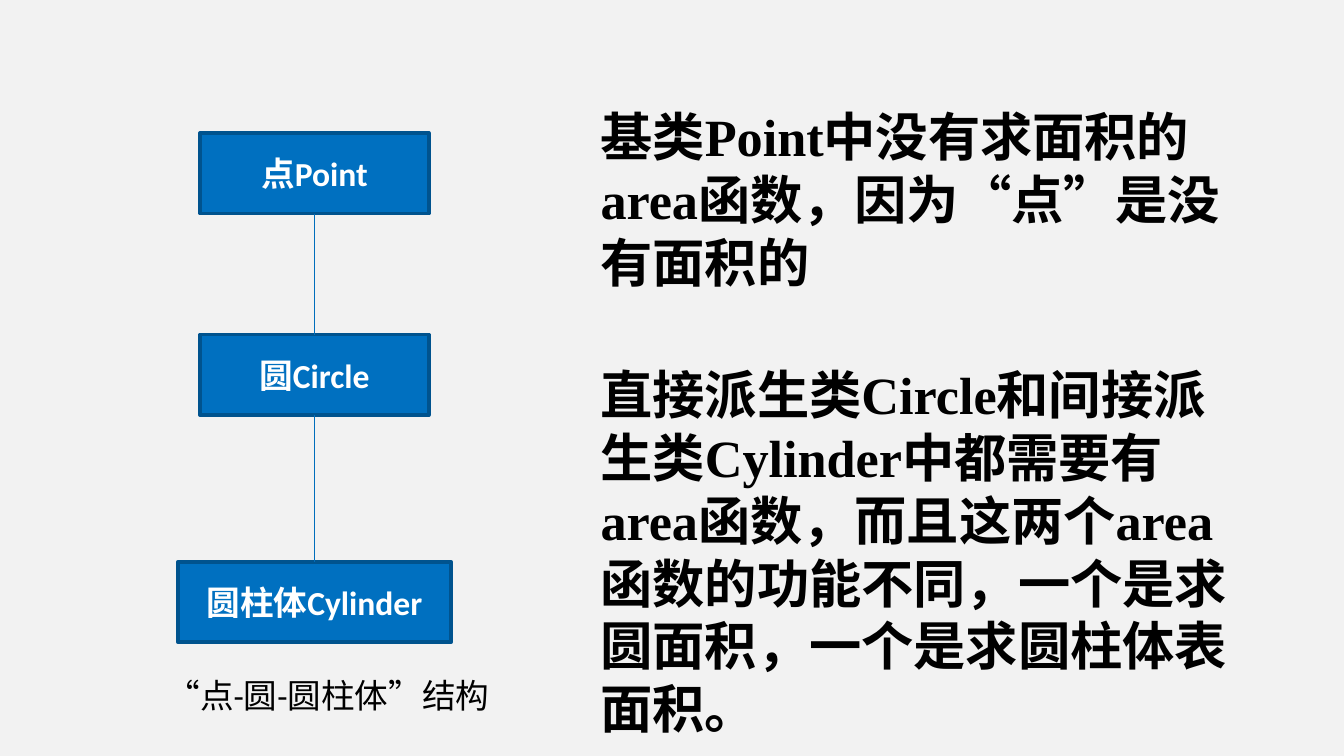
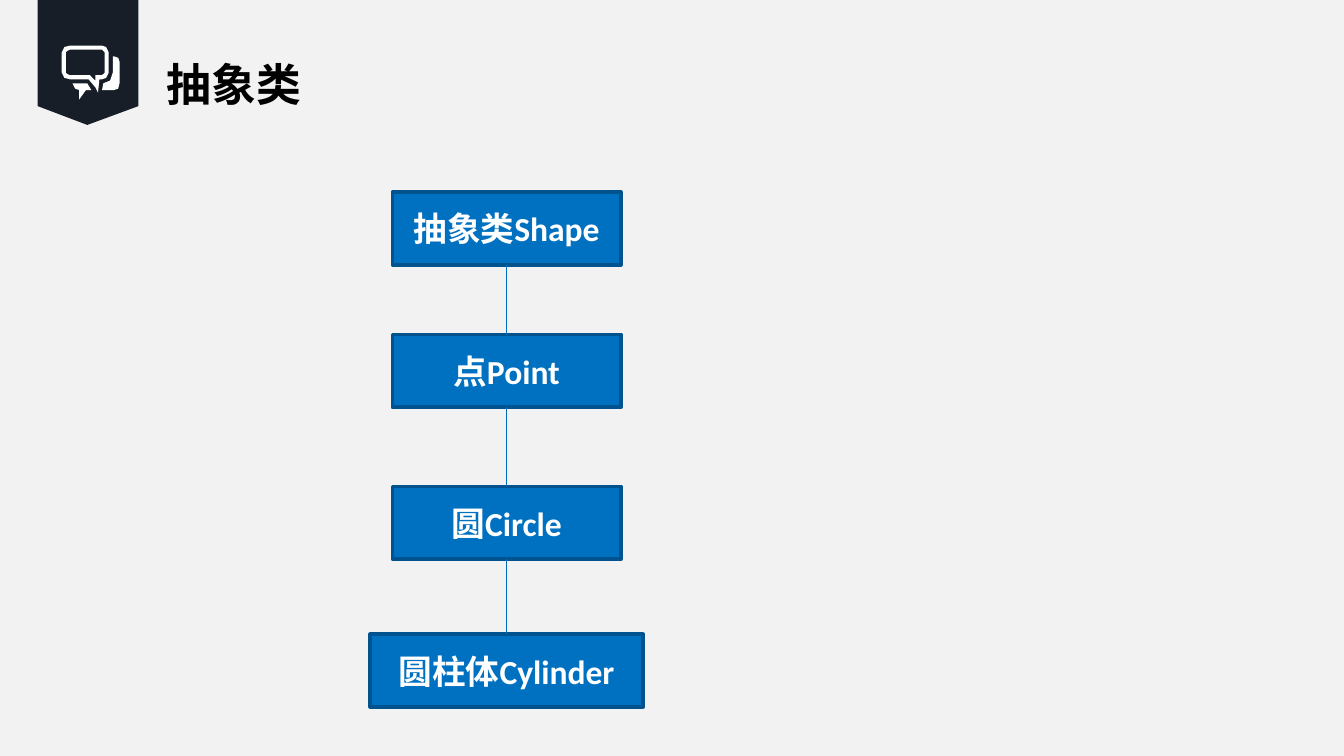
from lxml import etree
from pptx import Presentation
from pptx.dml.color import RGBColor
from pptx.enum.shapes import MSO_CONNECTOR, MSO_SHAPE
from pptx.enum.text import MSO_ANCHOR, MSO_AUTO_SIZE, PP_ALIGN
from pptx.oxml.ns import qn
from pptx.util import Inches, Pt

STRAIGHT = MSO_CONNECTOR.STRAIGHT
RECTANGLE = MSO_SHAPE.RECTANGLE
TOP, MIDDLE = MSO_ANCHOR.TOP, MSO_ANCHOR.MIDDLE
LEFT, CENTER = PP_ALIGN.LEFT, PP_ALIGN.CENTER
NO_AUTOFIT = MSO_AUTO_SIZE.NONE
TOP_SIDE, BOTTOM_SIDE = 0, 2
TITLE_ONLY, BLANK = 5, 6

SLIDE_WIDTH = Inches(10)
SLIDE_HEIGHT = SLIDE_WIDTH * 9 // 16

BACKGROUND = RGBColor(0xF2, 0xF2, 0xF2)
BLUE = RGBColor(0x00, 0x70, 0xC0)
BORDER = RGBColor(0x00, 0x53, 0x8E)
LINK = RGBColor(0x00, 0x6E, 0xBC)
RIBBON = RGBColor(0x17, 0x1E, 0x28)
WHITE = RGBColor(0xFF, 0xFF, 0xFF)
BLACK = RGBColor(0x00, 0x00, 0x00)

CJK_FONT = "Noto Sans CJK SC"
LABEL_FONT = "Calibri"
BODY_FONT = "Times New Roman"
QUOTE_FONT = "Arial"

BOX_WIDTH, WIDE_BOX_WIDTH = 1.7, 2.03
POINT, CIRCLE, CYLINDER = "点Point", "圆Circle", "圆柱体Cylinder"

# Outlines in hundredths of an inch
RIBBON_OUTLINE = [[(28, 0), (103, 0), (103, 79), (65, 93), (28, 79)]]
SPEECH_ICON = [
    [(52, 34), (76, 34), (79, 35), (81, 39), (81, 54), (79, 58), (76, 59),
     (74, 59), (73, 69), (71, 65), (66, 59), (52, 59), (48, 58), (46, 54),
     (46, 39), (48, 35)],
    [(84, 42), (84, 54), (82, 60), (77, 62), (76, 67), (85, 67), (88, 66),
     (89, 62), (89, 46), (88, 43), (85, 42)],
    [(68, 67), (65, 62), (54, 62), (56, 66), (59, 67), (59, 74), (64, 67)],
    [(76, 37), (52, 37), (50, 38), (49, 39), (49, 54), (50, 55), (52, 56),
     (67, 56), (68, 57), (71, 60), (71, 56), (76, 56), (77, 55), (78, 54),
     (78, 39), (77, 38)],
]


def write_text(frame, text, *, size, font=LABEL_FONT, color=BLACK, bold=False,
               align=LEFT, anchor=TOP, wrap=True):
    """Fill a frame with one paragraph; text is a string or (text, font) pairs."""
    frame.auto_size = NO_AUTOFIT
    frame.word_wrap = wrap
    frame.vertical_anchor = anchor
    paragraph = frame.paragraphs[0]
    paragraph.alignment = align
    pieces = [(text, font)] if isinstance(text, str) else text
    for piece, piece_font in pieces:
        run = paragraph.add_run()
        run.text = piece
        run.font.name = piece_font
        run.font.size = Pt(size)
        run.font.bold = bold
        run.font.color.rgb = color
        east_asian = etree.Element(qn("a:ea"), typeface=CJK_FONT)
        run.font._element.find(qn("a:latin")).addnext(east_asian)


def add_text(slide, text, left, top, width, height, **text_format):
    box = slide.shapes.add_textbox(*map(Inches, (left, top, width, height)))
    write_text(box.text_frame, text, **text_format)


def add_class_box(slide, label, center, top, height):
    width = WIDE_BOX_WIDTH if label == CYLINDER else BOX_WIDTH
    box = slide.shapes.add_shape(
        RECTANGLE, *map(Inches, (center - width / 2, top, width, height)))
    box.shadow.inherit = False
    box.fill.solid()
    box.fill.fore_color.rgb = BLUE
    box.line.color.rgb = BORDER
    box.line.width = Pt(2)
    write_text(box.text_frame, label, size=18, color=WHITE, bold=True,
               align=CENTER, anchor=MIDDLE)
    return box


def link_classes(slide, base, derived):
    link = slide.shapes.add_connector(STRAIGHT, 0, 0, 0, 0)
    link.begin_connect(base, BOTTOM_SIDE)
    link.end_connect(derived, TOP_SIDE)
    link.line.color.rgb = LINK
    link.line.width = Pt(0.75)
    etree.SubElement(link._element.spPr, qn("a:effectLst"))


def add_hierarchy(slide, classes, center, height):
    """Stack (label, top) class boxes and link each one to the next."""
    boxes = [add_class_box(slide, label, center, top, height)
             for label, top in classes]
    for base, derived in zip(boxes, boxes[1:]):
        link_classes(slide, base, derived)


def add_outline(slide, contours, color):
    builder = slide.shapes.build_freeform(*contours[0][0], scale=Inches(0.01))
    for number, contour in enumerate(contours):
        if number:
            builder.move_to(*contour[0])
        builder.add_line_segments(contour[1:], close=True)
    outline = builder.convert_to_shape()
    outline.shadow.inherit = False
    outline.fill.solid()
    outline.fill.fore_color.rgb = color
    outline.line.fill.background()


def add_title(slide, text):
    title = slide.shapes.title
    title.left, title.top = Inches(1.14), Inches(0.37)
    title.width, title.height = Inches(1.21), Inches(0.5)
    write_text(title.text_frame, text, size=24, font=CJK_FONT, bold=True,
               wrap=False)


def build_area_slide(prs):
    slide = prs.slides.add_slide(prs.slide_layouts[BLANK])
    add_text(slide, "“点-圆-圆柱体”结构", 1.14, 4.97, 2.63, 0.71, size=18)
    add_hierarchy(slide, [(POINT, 0.99), (CIRCLE, 2.49), (CYLINDER, 4.18)],
                  center=2.34, height=0.6)
    base_class_note = [
        ("基类Point中没有求面积的area函数，因为", BODY_FONT),
        ("“", QUOTE_FONT), ("点", BODY_FONT), ("”", QUOTE_FONT),
        ("是没有面积的", BODY_FONT),
    ]
    derived_class_note = (
        "直接派生类Circle和间接派生类Cylinder中都需要有area函数，"
        "而且这两个area函数的功能不同，一个是求圆面积，一个是求圆柱体表面积。")
    for note, top, height in ((base_class_note, 0.73, 1.51),
                              (derived_class_note, 2.65, 2.93)):
        add_text(slide, note, 4.37, top, 5, height, size=28, font=BODY_FONT,
                 bold=True)


def build_abstract_class_slide(prs):
    slide = prs.slides.add_slide(prs.slide_layouts[TITLE_ONLY])
    add_outline(slide, RIBBON_OUTLINE, RIBBON)
    add_title(slide, "抽象类")
    add_outline(slide, SPEECH_ICON, WHITE)
    add_hierarchy(slide, [("抽象类Shape", 1.43), (POINT, 2.49),
                          (CIRCLE, 3.62), (CYLINDER, 4.72)],
                  center=3.77, height=0.54)


def main():
    prs = Presentation()
    prs.slide_width, prs.slide_height = SLIDE_WIDTH, SLIDE_HEIGHT
    background = prs.slide_master.background.fill
    background.solid()
    background.fore_color.rgb = BACKGROUND
    build_area_slide(prs)
    build_abstract_class_slide(prs)
    prs.save("out.pptx")


if __name__ == "__main__":
    main()
